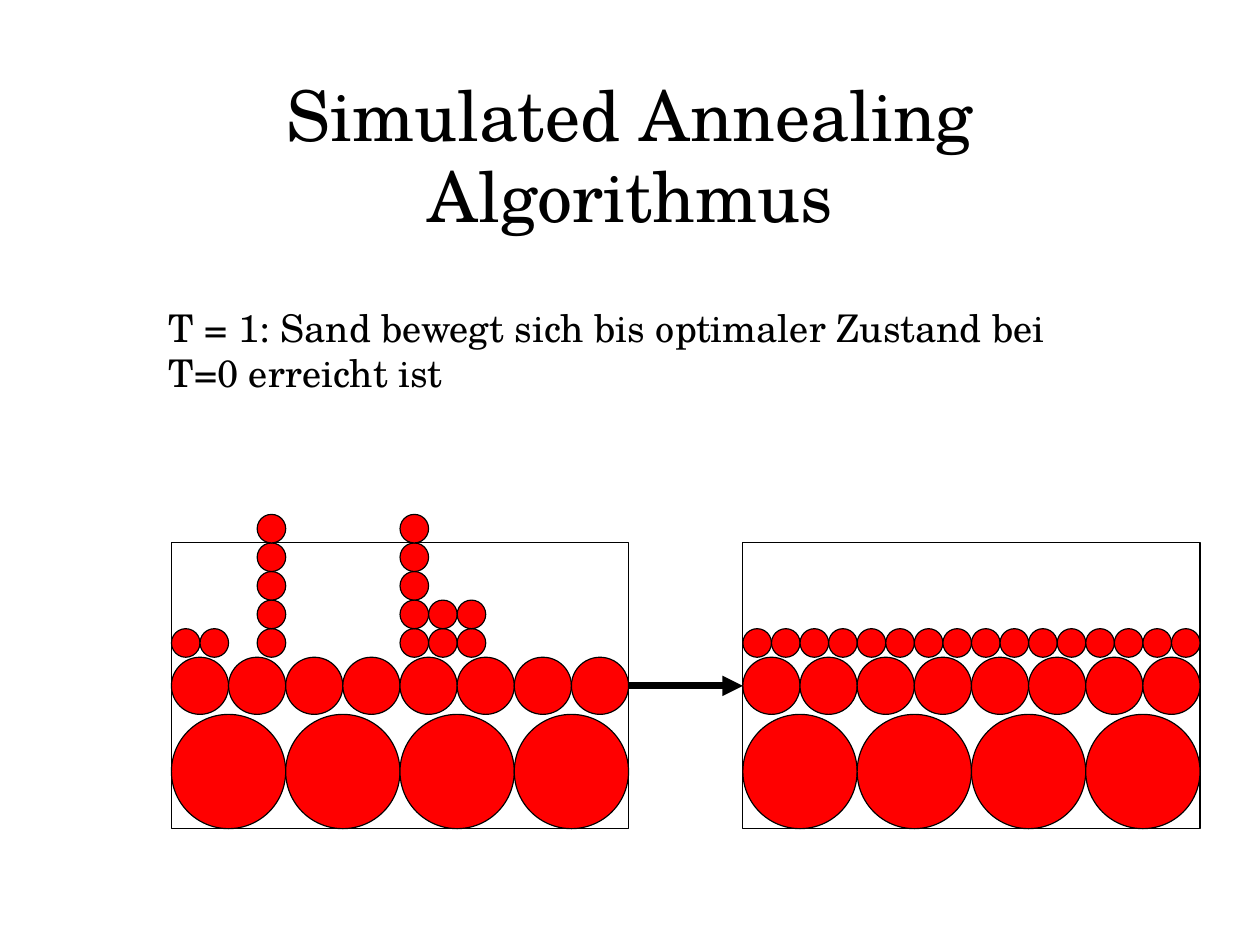
from lxml.etree import SubElement
from pptx import Presentation
from pptx.dml.color import RGBColor
from pptx.enum.shapes import MSO_CONNECTOR, MSO_SHAPE
from pptx.enum.text import MSO_ANCHOR, PP_ALIGN
from pptx.oxml.ns import qn
from pptx.util import Pt

BLACK = RGBColor(0x00, 0x00, 0x00)
RED = RGBColor(0xFF, 0x00, 0x00)
FONT = "TeX Gyre Schola"

# Container geometry in points
BOX_WIDTH, BOX_HEIGHT = 288, 180
BOX_TOP = 342
LEFT_BOX, RIGHT_BOX = 108, 468
STONE, PEBBLE, GRAIN = 72, 36, 18

# Number of stacked sand grains in each column
LOOSE_SAND = [1, 1, 0, 5, 0, 0, 0, 0, 5, 2, 2, 0, 0, 0, 0, 0]
SETTLED_SAND = [1] * 16


def add_text(slide, left, top, width, height, lines, size,
             align=PP_ALIGN.LEFT, anchor=MSO_ANCHOR.TOP):
    box = slide.shapes.add_textbox(Pt(left), Pt(top), Pt(width), Pt(height))
    frame = box.text_frame
    frame.word_wrap = True
    frame.vertical_anchor = anchor
    frame.margin_left = frame.margin_right = Pt(0)
    frame.margin_top = frame.margin_bottom = Pt(0)
    for number, line in enumerate(lines):
        paragraph = frame.add_paragraph() if number else frame.paragraphs[0]
        paragraph.alignment = align
        paragraph.line_spacing = 0.97
        run = paragraph.add_run()
        run.text = line
        run.font.name = FONT
        run.font.size = Pt(size)
        run.font.color.rgb = BLACK


def add_outlined(slide, kind, left, top, width, height, fill=None):
    shape = slide.shapes.add_shape(kind, Pt(left), Pt(top), Pt(width), Pt(height))
    shape.shadow.inherit = False
    if fill is None:
        shape.fill.background()
    else:
        shape.fill.solid()
        shape.fill.fore_color.rgb = fill
    shape.line.color.rgb = BLACK
    shape.line.width = Pt(0.75)
    return shape


def add_layer(slide, left, floor, diameter, heights):
    """Stack circles of one size on a floor, column by column."""
    for column, height in enumerate(heights):
        for level in range(1, height + 1):
            add_outlined(slide, MSO_SHAPE.OVAL, left + column * diameter,
                         floor - level * diameter, diameter, diameter, RED)


def add_container(slide, left, sand):
    container = add_outlined(slide, MSO_SHAPE.RECTANGLE,
                             left, BOX_TOP, BOX_WIDTH, BOX_HEIGHT)
    floor = BOX_TOP + BOX_HEIGHT
    layers = [(STONE, [1] * 4), (PEBBLE, [1] * 8), (GRAIN, sand)]
    for diameter, heights in layers:
        add_layer(slide, left, floor, diameter, heights)
        floor -= diameter
    return container


def add_arrow(slide, start, end):
    middle = Pt(BOX_TOP + BOX_HEIGHT / 2)
    arrow = slide.shapes.add_connector(
        MSO_CONNECTOR.STRAIGHT, Pt(LEFT_BOX + BOX_WIDTH), middle, Pt(RIGHT_BOX), middle)
    arrow.begin_connect(start, 3)
    arrow.end_connect(end, 1)
    arrow.line.color.rgb = BLACK
    arrow.line.width = Pt(4.31)
    SubElement(arrow.line._get_or_add_ln(), qn("a:tailEnd"), type="triangle")
    SubElement(arrow._element.spPr, qn("a:effectLst"))


def main():
    presentation = Presentation()
    presentation.slide_width = Pt(793.75)
    presentation.slide_height = Pt(595.25)
    slide = presentation.slides.add_slide(presentation.slide_layouts[6])

    # Title and explanation
    add_text(slide, 58.3, 47.5, 677.5, 103.7, ["Simulated Annealing Algorithmus"],
             44, PP_ALIGN.CENTER, MSO_ANCHOR.MIDDLE)
    add_text(slide, 106.3, 193.5, 617, 56.2,
             ["T = 1: Sand bewegt sich bis optimaler Zustand bei",
              "T=0 erreicht ist"], 24)

    # Sand before and after settling
    before = add_container(slide, LEFT_BOX, LOOSE_SAND)
    after = add_container(slide, RIGHT_BOX, SETTLED_SAND)
    add_arrow(slide, before, after)

    presentation.save("out.pptx")


if __name__ == "__main__":
    main()
